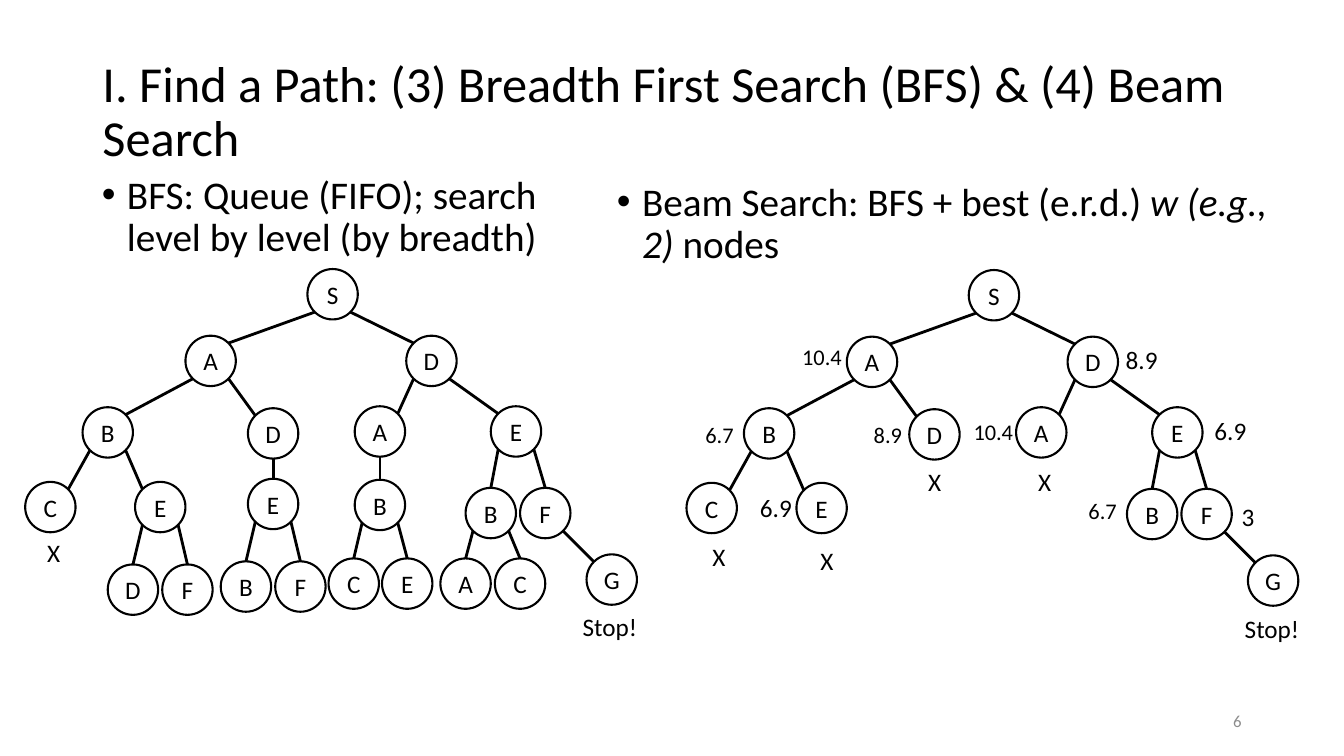
import math
from pptx import Presentation
from pptx.dml.color import RGBColor
from pptx.enum import shapes, text
from pptx.util import Pt
from lxml import etree

BLACK = RGBColor(0, 0, 0)
GRAY = RGBColor(0x8C, 0x8C, 0x8C)
NS = "http://schemas.openxmlformats.org/drawingml/2006/main"
SIZE = 36                                  # node diameter
SIDE = SIZE / 2 * math.sqrt(0.5)           # centre to diagonal site

prs = Presentation()
prs.slide_width, prs.slide_height = Pt(960), Pt(540)
slide = prs.slides.add_slide(prs.slide_layouts[3])


def add_run(para, words, size, color=BLACK, slant=False):
    run = para.add_run()
    run.text = words
    font = run.font
    font.name, font.size, font.italic = "Calibri", Pt(size), slant
    font.color.rgb = color


def put(shape, left, top, width, height):
    shape.left, shape.top = Pt(left), Pt(top)
    shape.width, shape.height = Pt(width), Pt(height)


# Title
title, *bodies = slide.placeholders
put(title, 66, 28.8, 828, 104.4)
frame = title.text_frame
frame.auto_size = text.MSO_AUTO_SIZE.NONE
frame.vertical_anchor = text.MSO_ANCHOR.MIDDLE
para = frame.paragraphs[0]
para.alignment, para.line_spacing = text.PP_ALIGN.LEFT, 0.9
add_run(para, "I. Find a Path: (3) Breadth First Search (BFS) & (4) Beam Search", 36)

# Bullets: box, then runs with their slant
points = [
    ((65.5, 121.7, 351.4, 342.7),
     [("BFS: Queue (FIFO); search level by level (by breadth)", False)]),
    ((433.4, 126.7, 487.4, 342.7),
     [("Beam Search: BFS + best (e.r.d.) ", False),
      ("w (e.g., 2)", True), (" nodes", False)]),
]
for body, (box, runs) in zip(bodies, points):
    put(body, *box)
    body.text_frame.auto_size = text.MSO_AUTO_SIZE.NONE
    para = body.text_frame.paragraphs[0]
    para.line_spacing, para.space_before = 0.9, Pt(10)
    props = para._p.get_or_add_pPr()
    props.set("marL", str(Pt(18)))
    props.set("indent", str(-Pt(18)))
    for words, slant in runs:
        add_run(para, words, 28, slant=slant)

# Search tree: each key is the path from S, the value is left and top
nodes = {
    "S": (219.6, 192.2),
    "SA": (132.5, 239.8), "SD": (290.2, 239.8),
    "SAB": (59, 290.9), "SAD": (177.1, 291.6),
    "SDA": (253.4, 290.2), "SDE": (350.6, 290.2),
    "SABC": (18, 344.2), "SABE": (96.5, 344.2), "SADE": (177.1, 342),
    "SDAB": (253.4, 342.7), "SDEB": (332.6, 348.5), "SDEF": (371.5, 348.5),
    "SABED": (77, 403.2), "SABEF": (115.9, 403.2),
    "SADEB": (157.7, 401), "SADEF": (196.6, 401),
    "SDABC": (234.7, 398.9), "SDABE": (272.9, 398.9),
    "SDEBA": (314.6, 398.9), "SDEBC": (353.5, 398.9),
    "SDEFG": (419, 396),
}
beam = ["S", "SA", "SD", "SAB", "SAD", "SDA", "SDE",
        "SABC", "SABE", "SDEB", "SDEF", "SDEFG"]

for keys, dx, dy in ((nodes, 0, 0), (beam, 472.4, 0.7)):
    for key in keys:
        left, top = nodes[key][0] + dx, nodes[key][1] + dy
        node = slide.shapes.add_shape(
            shapes.MSO_SHAPE.FLOWCHART_CONNECTOR,
            Pt(left), Pt(top), Pt(SIZE), Pt(SIZE))
        node.shadow.inherit = False
        node.fill.background()
        node.line.color.rgb, node.line.width = BLACK, Pt(1.5)
        frame = node.text_frame
        frame.margin_left = frame.margin_right = 0
        frame.vertical_anchor = text.MSO_ANCHOR.MIDDLE
        frame.paragraphs[0].alignment = text.PP_ALIGN.CENTER
        add_run(frame.paragraphs[0], key[-1], 18)
        if key == "S":
            continue

        # Edge to the parent: near children join at their top, far ones at a corner
        px, py = nodes[key[:-1]]
        gap = nodes[key][0] - px
        way = (gap > 0) - (gap < 0)
        x1, y1 = left + SIZE / 2, top
        if abs(gap) > 22:
            x1, y1 = x1 - way * SIDE, top + SIZE / 2 - SIDE
        x2 = px + dx + SIZE / 2 + way * SIDE
        y2 = py + dy + SIZE / 2 + (SIDE if way else SIZE / 2)
        edge = slide.shapes.add_connector(
            shapes.MSO_CONNECTOR.STRAIGHT, Pt(x1), Pt(y1), Pt(x2), Pt(y2))
        edge.line.color.rgb, edge.line.width = BLACK, Pt(2)
        etree.SubElement(edge._element.spPr, f"{{{NS}}}effectLst")

# Distances, dead ends and stops: words, size, left, top
labels = [
    ("10.4", 16, 565.9, 241.9), ("8.9", 18, 797, 242.6),
    ("6.7", 16, 496.8, 297.4), ("8.9", 16, 617, 297.4),
    ("10.4", 16, 688.3, 295.2), ("6.9", 18, 860.4, 293),
    ("6.9", 18, 535.7, 347.8), ("6.7", 16, 770.4, 351.4),
    ("3", 18, 879.8, 354.2),
    ("X", 18, 26.6, 380.2), ("X", 18, 734.4, 329.8), ("X", 18, 655.9, 329.8),
    ("X", 18, 501.8, 383), ("X", 18, 578.9, 385.9),
    ("Stop!", 18, 409, 433.4), ("Stop!", 18, 882, 434.2),
]
wide = {"10.4": 43.2, "8.9": 37.4, "6.7": 35.3, "6.9": 37.4,
        "3": 23.8, "X": 23.8, "Stop!": 54}
for words, size, left, top in labels:
    label = slide.shapes.add_textbox(
        Pt(left), Pt(top), Pt(wide[words]), Pt(29 if size == 18 else 26.6))
    label.text_frame.word_wrap = False
    add_run(label.text_frame.paragraphs[0], words, size)

# Slide number
number = slide.shapes.add_textbox(Pt(678), Pt(500.4), Pt(216), Pt(28.8))
frame = number.text_frame
frame.word_wrap = True
frame.vertical_anchor = text.MSO_ANCHOR.MIDDLE
frame.paragraphs[0].alignment = text.PP_ALIGN.RIGHT
add_run(frame.paragraphs[0], "6", 12, GRAY)

prs.save("out.pptx")
